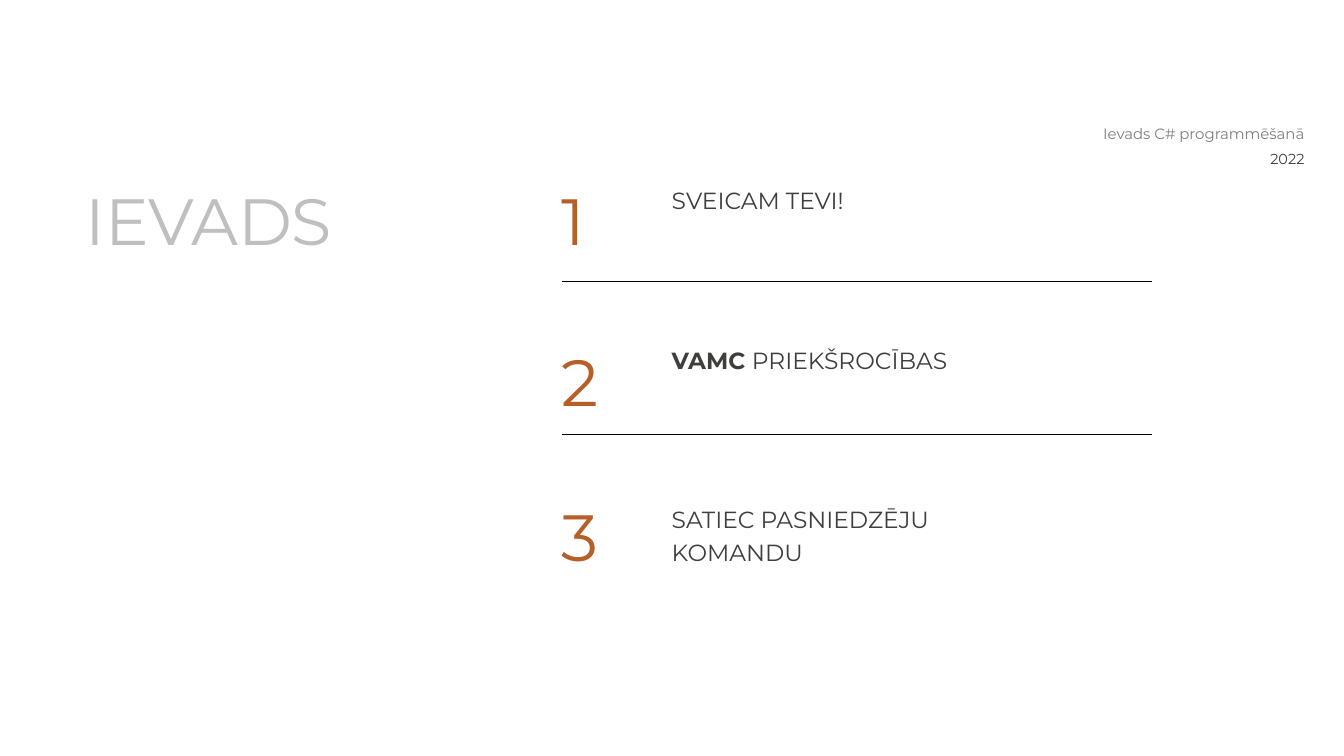
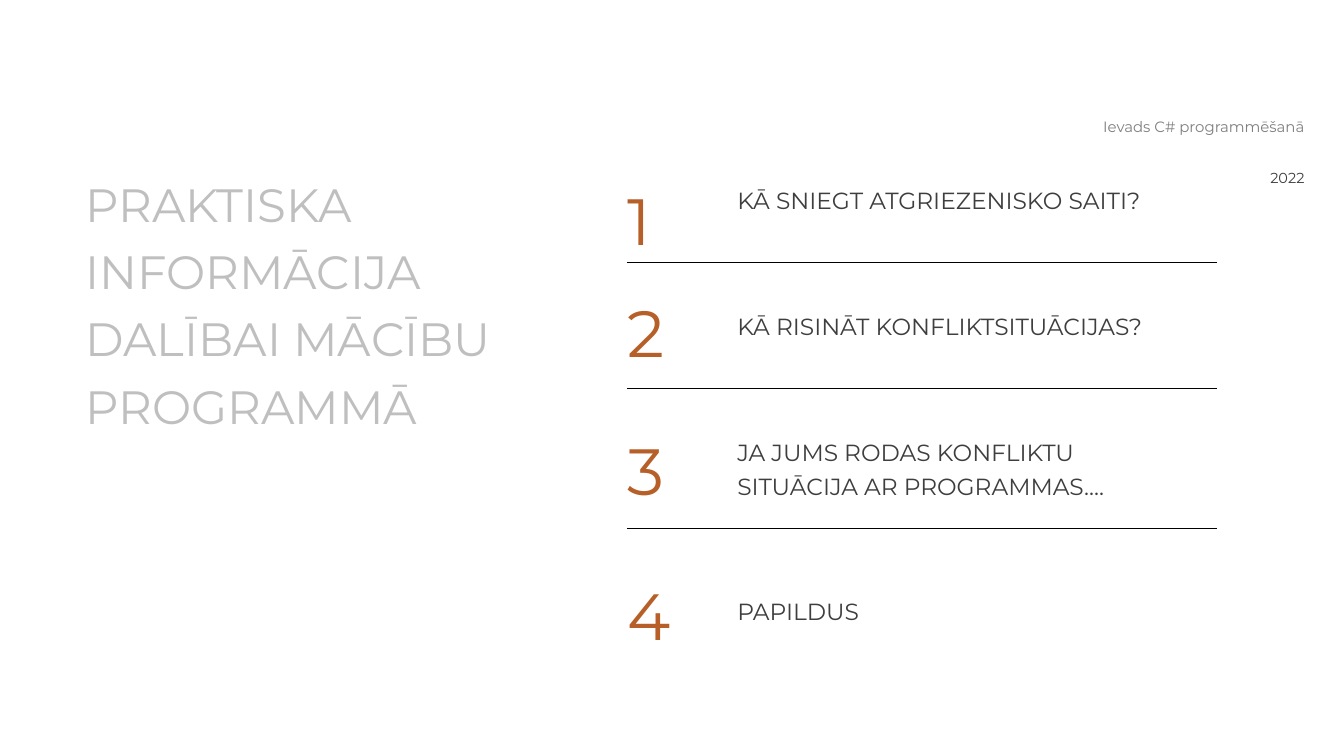
from pptx import Presentation
from pptx.dml.color import RGBColor
from pptx.enum.shapes import MSO_CONNECTOR
from pptx.enum.text import MSO_AUTO_SIZE, PP_ALIGN
from pptx.oxml.ns import qn
from pptx.util import Pt
from lxml import etree

STRAIGHT = MSO_CONNECTOR.STRAIGHT
LEFT, RIGHT = PP_ALIGN.LEFT, PP_ALIGN.RIGHT
GROW = MSO_AUTO_SIZE.SHAPE_TO_FIT_TEXT

FONT = "Montserrat"
BLACK = "000000"
INK = "3E3E3D"
GREY = "7F7F7F"
TITLE_GREY = "BFBFBF"
ORANGE = "B75F28"

TOP = 176.4
TITLE_LEFT = 91.4
ITEM_INDENT = 117.7
DIVIDER_LENGTH = 632


def color(hex_code):
    return RGBColor.from_string(hex_code)


def add_box(slide, left, top, width, height):
    """Add an empty text frame without margins."""
    frame = slide.shapes.add_textbox(Pt(left), Pt(top), Pt(width), Pt(height)).text_frame
    frame.margin_left = frame.margin_right = frame.margin_top = frame.margin_bottom = 0
    frame.word_wrap = True
    frame.auto_size = GROW
    return frame


def write(paragraph, text, size=25, fill=INK, bold=False, align=LEFT, spacing=1.2, before=0):
    """Append a run to the paragraph and set the paragraph's layout."""
    paragraph.alignment = align
    paragraph.line_spacing = spacing
    paragraph.space_before = Pt(before)
    run = paragraph.add_run()
    run.text = text
    run.font.name = FONT
    run.font.size = Pt(size)
    run.font.bold = bold
    run.font.color.rgb = color(fill)


def add_course_label(slide, height, course_spacing, year_gap):
    frame = add_box(slide, 988.6, 126, 409, height)
    write(frame.paragraphs[0], "Ievads C# programmēšanā", size=16, fill=GREY,
          align=RIGHT, spacing=course_spacing)
    write(frame.add_paragraph(), "2022", size=15.5, align=RIGHT, spacing=1.45, before=year_gap)


def add_title(slide, text, size, width, height):
    frame = add_box(slide, TITLE_LEFT, TOP, width, height)
    write(frame.paragraphs[0], text, size=size, fill=TITLE_GREY)


def add_divider(slide, left, y):
    line = slide.shapes.add_connector(STRAIGHT, Pt(left), Pt(y), Pt(left + DIVIDER_LENGTH), Pt(y))
    line.line.color.rgb = color(BLACK)
    line.line.width = Pt(0.75)
    etree.SubElement(line._element.spPr, qn("a:effectLst"))


def add_agenda(slide, left, item_width, items, dividers):
    """Number the items; each is (number top, text top, text height, [(text, bold), ...])."""
    for number, (number_top, text_top, height, parts) in enumerate(items, start=1):
        number_frame = add_box(slide, left, number_top, 345, 85)
        write(number_frame.paragraphs[0], str(number), size=70, fill=ORANGE)
        item_frame = add_box(slide, left + ITEM_INDENT, text_top, item_width, height)
        for text, bold in parts:
            write(item_frame.paragraphs[0], text, bold=bold)
    for y in dividers:
        add_divider(slide, left, y)


def add_slide(presentation):
    slide = presentation.slides.add_slide(presentation.slide_layouts[6])
    slide.background.fill.solid()
    slide.background.fill.fore_color.rgb = color("FFFFFF")
    return slide


def main():
    presentation = Presentation()
    presentation.slide_width = Pt(1440)
    presentation.slide_height = Pt(810)

    intro = add_slide(presentation)
    add_course_label(intro, height=46, course_spacing=1.4, year_gap=0)
    add_title(intro, "IEVADS", size=70, width=334, height=85)
    add_agenda(intro, 602, 351, [
        (TOP, 193, 30, [("SVEICAM TEVI!", False)]),
        (348.5, 365, 30, [("VAMC ", True), ("PRIEKŠROCĪBAS", False)]),
        (514.8, 535, 59, [("SATIEC PASNIEDZĒJU KOMANDU", False)]),
    ], dividers=[301.7, 465.1])

    practical = add_slide(presentation)
    add_course_label(practical, height=65.5, course_spacing=1.0, year_gap=27.3)
    add_title(practical, "PRAKTISKA INFORMĀCIJA DALĪBAI MĀCĪBU PROGRAMMĀ",
              size=50, width=469, height=240)
    add_agenda(practical, 672.3, 454, [
        (TOP, 193, 30, [("KĀ SNIEGT ATGRIEZENISKO SAITI?", False)]),
        (295.9, 329, 30, [("KĀ RISINĀT KONFLIKTSITUĀCIJAS?", False)]),
        (444.2, 463.7, 59, [("JA JUMS RODAS KONFLIKTU SITUĀCIJA AR PROGRAMMAS....", False)]),
        (599, 633.6, 30, [("PAPILDUS", False)]),
    ], dividers=[281.5, 416.2, 566.6])

    presentation.save("out.pptx")


if __name__ == "__main__":
    main()
